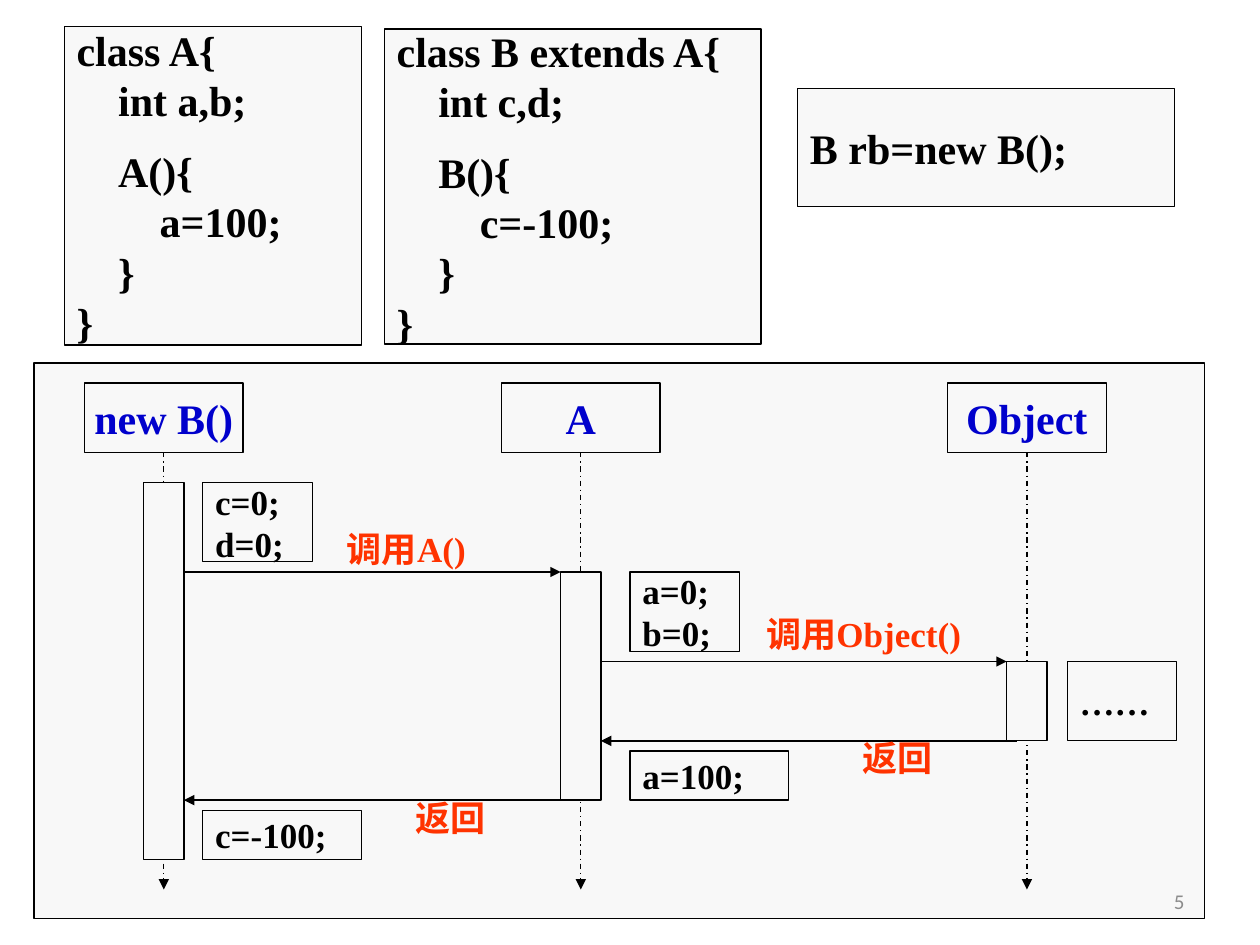
from dataclasses import dataclass

from lxml.etree import SubElement
from pptx import Presentation
from pptx.dml.color import RGBColor
from pptx.enum.dml import MSO_LINE
from pptx.enum.shapes import MSO_CONNECTOR, MSO_SHAPE
from pptx.enum.text import MSO_ANCHOR, PP_ALIGN
from pptx.oxml.ns import qn
from pptx.util import Inches, Pt


@dataclass(frozen=True)
class Theme:
    font: str = "Times New Roman"
    number_font: str = "Calibri"
    panel: str = "F8F8F8"
    ink: str = "000000"
    heading: str = "0000CC"
    call: str = "FF3300"
    muted: str = "8C8C8C"
    code_size: int = 24
    note_size: int = 20
    number_size: int = 12
    line_width: float = 0.75
    code_indent: float = 0.33
    code_gap: float = 11.5


THEME = Theme()
MEMBER_GAP = "gap"


def write_text(tf, text, *, size, color=THEME.ink, font=THEME.font, bold=True,
               align=PP_ALIGN.LEFT, anchor=MSO_ANCHOR.MIDDLE, wrap=False):
    """Write one paragraph per line; a line is a string or (indent level, string).

    MEMBER_GAP in the list puts space before the line that follows it.
    """
    tf.word_wrap = wrap
    tf.vertical_anchor = anchor
    lines = [text] if isinstance(text, str) else text
    p, space = None, 0
    for line in lines:
        if line == MEMBER_GAP:
            space = THEME.code_gap
            continue
        level, words = (0, line) if isinstance(line, str) else line
        p = tf.paragraphs[0] if p is None else tf.add_paragraph()
        p.alignment = align
        p.space_before = Pt(space)
        space = 0
        if level:
            pPr = p._p.get_or_add_pPr()
            pPr.set("marL", str(Inches(level * THEME.code_indent)))
            pPr.set("indent", "0")
        r = p.add_run()
        r.text = words
        r.font.name = font
        r.font.size = Pt(size)
        r.font.bold = bold
        r.font.color.rgb = RGBColor.from_string(color)


class SlideBuilder:
    def __init__(self, slide, theme):
        self.shapes = slide.shapes
        self.theme = theme

    def outline(self, line):
        line.color.rgb = RGBColor.from_string(self.theme.ink)
        line.width = Pt(self.theme.line_width)

    def box(self, left, top, width, height, text=None, **text_format):
        sp = self.shapes.add_shape(MSO_SHAPE.RECTANGLE, Inches(left), Inches(top),
                                   Inches(width), Inches(height))
        sp.shadow.inherit = False
        sp.fill.solid()
        sp.fill.fore_color.rgb = RGBColor.from_string(self.theme.panel)
        self.outline(sp.line)
        if text:
            write_text(sp.text_frame, text, **text_format)
        return sp

    def label(self, left, top, width, height, text, **text_format):
        sp = self.shapes.add_textbox(Inches(left), Inches(top),
                                     Inches(width), Inches(height))
        write_text(sp.text_frame, text, wrap=True, **text_format)

    def arrow(self, x1, y1, x2, y2, dash=None):
        cxn = self.shapes.add_connector(MSO_CONNECTOR.STRAIGHT, Inches(x1), Inches(y1),
                                        Inches(x2), Inches(y2))
        self.outline(cxn.line)
        if dash:
            cxn.line.dash_style = dash
        spPr = cxn._element.spPr
        SubElement(spPr.find(qn("a:ln")), qn("a:tailEnd"), type="triangle")
        SubElement(spPr, qn("a:effectLst"))


def class_code(header, fields, constructor, assignment):
    return [header, (1, fields), MEMBER_GAP, (1, constructor),
            (2, assignment), (1, "}"), "}"]


def draw_code(b):
    size = THEME.code_size
    b.box(0.51, 0.21, 2.36, 2.53,
          class_code("class A{", "int a,b;", "A(){", "a=100;"), size=size)
    b.box(3.05, 0.23, 2.99, 2.5,
          class_code("class B extends A{", "int c,d;", "B(){", "c=-100;"), size=size)
    b.box(6.33, 0.7, 2.99, 0.94, "B rb=new B();", size=size)


def draw_sequence(b):
    b.box(0.27, 2.88, 9.29, 4.41)

    head_top, head_w, head_h, bar_w = 3.04, 1.26, 0.55, 0.32
    b_x, a_x, object_x = 1.3, 4.61, 8.15
    half = bar_w / 2
    b_start, a_start, object_start = 3.83, 4.54, 5.25
    object_end, a_end, b_end = 5.88, 6.35, 6.82

    lifelines = [("new B()", b_x, b_start, b_end),
                 ("A", a_x, a_start, a_end),
                 ("Object", object_x, object_start, object_end)]
    for name, x, start, end in lifelines:
        b.box(x - head_w / 2, head_top, head_w, head_h, name, size=THEME.code_size,
              color=THEME.heading, align=PP_ALIGN.CENTER)
        b.arrow(x, head_top + head_h, x, 7.06, dash=MSO_LINE.DASH_DOT)
        b.box(x - half, start, bar_w, end - start)

    messages = [(b_x + half, a_x - half, a_start),
                (a_x + half, object_x - half, object_start),
                (object_x - half / 2, a_x + half, object_end),
                (a_x - half, b_x + half, a_end)]
    for x1, x2, y in messages:
        b.arrow(x1, y, x2, y)

    b_note, a_note = 1.61, 5
    wide, tall = (0.87, 0.63), (1.26, 0.39)
    notes = [(b_note, b_start, wide, ["c=0;", "d=0;"]),
             (a_note, a_start, wide, ["a=0;", "b=0;"]),
             (8.47, object_start, wide, "……"),
             (a_note, 5.96, tall, "a=100;"),
             (b_note, 6.43, tall, "c=-100;")]
    for left, top, (width, height), text in notes:
        b.box(left, top, width, height, text, size=THEME.note_size)

    calls = [(2.24, 4.14, 1.97, "调用A()"), (5.87, 4.81, 1.97, "调用Object()"),
             (6.57, 5.8, 1.1, "返回"), (3.03, 6.27, 1.1, "返回")]
    for left, top, width, text in calls:
        b.label(left, top, width, 0.43, text, size=THEME.note_size, color=THEME.call,
                align=PP_ALIGN.CENTER, anchor=MSO_ANCHOR.TOP)


def main():
    prs = Presentation()
    prs.slide_width, prs.slide_height = Inches(10), Inches(7.5)
    blank_layout = prs.slide_layouts[6]
    b = SlideBuilder(prs.slides.add_slide(blank_layout), THEME)
    draw_code(b)
    draw_sequence(b)
    b.label(7.17, 6.95, 2.33, 0.4, "5", size=THEME.number_size, color=THEME.muted,
            font=THEME.number_font, bold=False, align=PP_ALIGN.RIGHT)
    prs.save("out.pptx")


if __name__ == "__main__":
    main()
